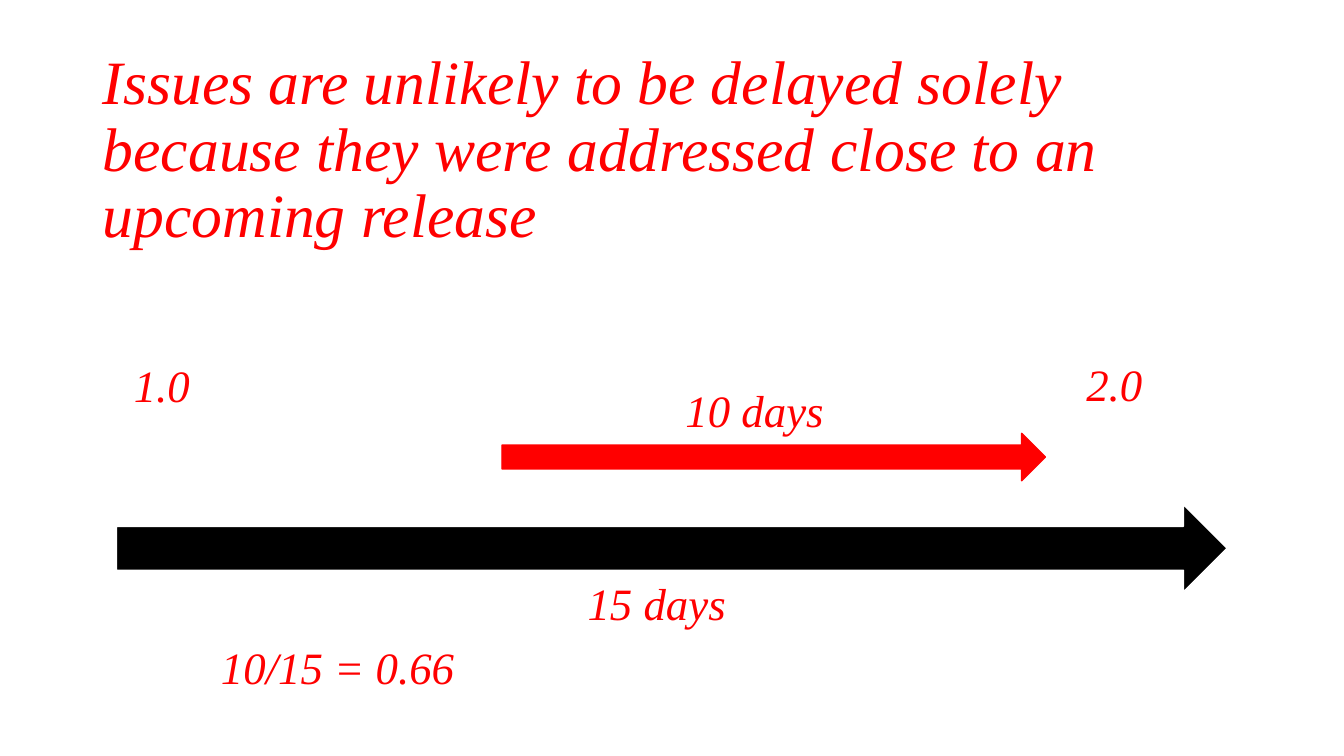
from dataclasses import dataclass

from pptx import Presentation
from pptx.dml.color import RGBColor
from pptx.enum.shapes import MSO_SHAPE
from pptx.enum.text import MSO_ANCHOR, MSO_AUTO_SIZE, PP_ALIGN
from pptx.slide import Slide
from pptx.text.text import TextFrame
from pptx.util import Inches, Pt

ARROW = MSO_SHAPE.RIGHT_ARROW
LEFT, CENTER = PP_ALIGN.LEFT, PP_ALIGN.CENTER
MIDDLE, TOP = MSO_ANCHOR.MIDDLE, MSO_ANCHOR.TOP
FIXED, GROW = MSO_AUTO_SIZE.NONE, MSO_AUTO_SIZE.SHAPE_TO_FIT_TEXT
WIDE, HIGH = Inches(13.33), Inches(7.5)


@dataclass(frozen=True)
class Theme:
    """Colours, font and type sizes of the slide."""
    red: RGBColor = RGBColor(255, 0, 0)
    black: RGBColor = RGBColor(0, 0, 0)
    white: RGBColor = RGBColor(255, 255, 255)
    font: str = "Times New Roman"
    title: int = 44
    label: int = 32


@dataclass(frozen=True)
class Box:
    """A frame in percent of the slide's width and height."""
    left: float
    top: float
    width: float
    height: float

    def frame(self) -> dict[str, int]:
        """Return the frame in slide units."""
        return {
            "left": int(WIDE * self.left / 100),
            "top": int(HIGH * self.top / 100),
            "width": int(WIDE * self.width / 100),
            "height": int(HIGH * self.height / 100),
        }


@dataclass(frozen=True)
class Label:
    """A centred caption and the corner of its box."""
    text: str
    left: float
    top: float


@dataclass(frozen=True)
class Span:
    """A time span drawn as a block arrow."""
    box: Box
    fill: RGBColor
    line: RGBColor


THEME = Theme()
TITLE = ("Issues are unlikely to be delayed solely because they were "
         "addressed close to an upcoming release")
HEAD = Box(6.9, 5.33, 86.25, 29.33)
SPANS = (
    Span(Box(8.66, 66.73, 82.65, 11.6), THEME.black, THEME.white),
    Span(Box(37.35, 57.33, 40.43, 6.27), THEME.red, THEME.red),
)
LABELS = (
    Label("1.0", 0.53, 46.67),
    Label("2.0", 71.4, 46.53),
    Label("10 days", 44.63, 50),
    Label("15 days", 37.35, 75.47),
    Label("10/15 = 0.66 ", 14.03, 84),
)


def assign(item: object, values: dict[str, object]) -> None:
    """Set each named value on an item."""
    for name, value in values.items():
        setattr(item, name, value)


def write(frame: TextFrame, text: str, size: int, align: PP_ALIGN) -> None:
    """Fill a text frame with one red italic paragraph."""
    frame.text = text
    para = frame.paragraphs[0]
    para.alignment = align
    assign(para.runs[0].font, {
        "name": THEME.font, "size": Pt(size), "italic": True, "bold": False,
    })
    para.runs[0].font.color.rgb = THEME.red


def add_title(slide: Slide) -> None:
    """Place and fill the title."""
    title = slide.shapes.title
    assign(title, HEAD.frame())
    frame = title.text_frame
    write(frame, TITLE, THEME.title, LEFT)
    assign(frame, {
        "word_wrap": True, "auto_size": FIXED, "vertical_anchor": MIDDLE,
    })
    frame.paragraphs[0].line_spacing = 0.9


def add_span(slide: Slide, span: Span) -> None:
    """Draw one block arrow."""
    arrow = slide.shapes.add_shape(ARROW, **span.box.frame())
    arrow.shadow.inherit = False
    arrow.fill.solid()
    arrow.fill.fore_color.rgb = span.fill
    arrow.line.color.rgb = span.line
    arrow.line.width = Pt(1)


def add_label(slide: Slide, label: Label) -> None:
    """Write one caption."""
    box = Box(label.left, label.top, 23.03, 8.53)
    frame = slide.shapes.add_textbox(**box.frame()).text_frame
    assign(frame, {
        "word_wrap": True, "auto_size": GROW, "vertical_anchor": TOP,
    })
    write(frame, label.text, THEME.label, CENTER)


def main() -> None:
    """Build and save the slide."""
    deck = Presentation()
    assign(deck, {"slide_width": WIDE, "slide_height": HIGH})
    slide = deck.slides.add_slide(deck.slide_layouts[5])
    add_title(slide)
    for span in SPANS:
        add_span(slide, span)
    for label in LABELS:
        add_label(slide, label)
    deck.save("out.pptx")


if __name__ == "__main__":
    main()
